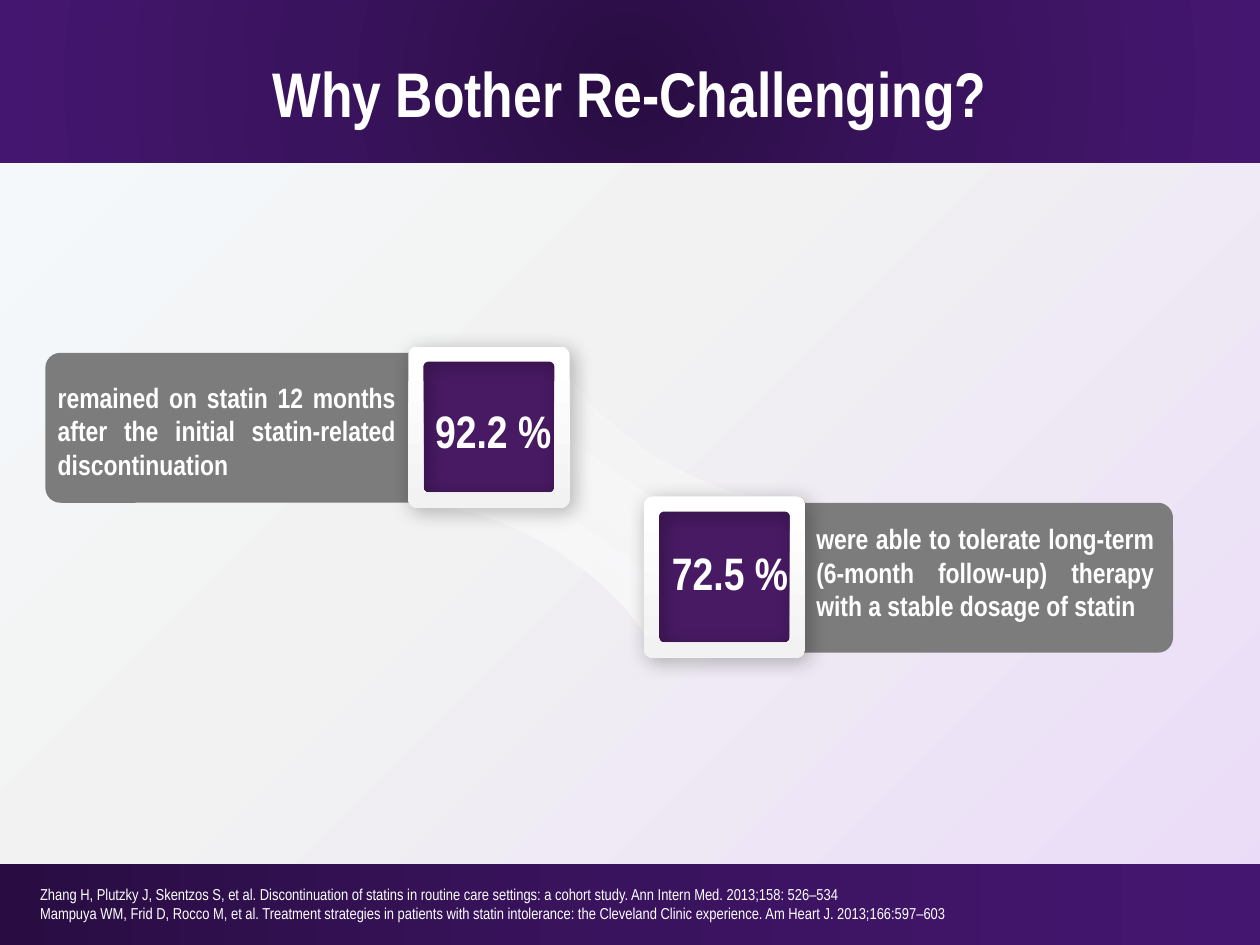
import math

import pptx
import pptx.dml.color
import pptx.enum.shapes
import pptx.enum.text
import pptx.oxml.ns
import pptx.util
from lxml import etree
from pptx.util import Inches

RGBColor = pptx.dml.color.RGBColor
SHAPES = pptx.enum.shapes.MSO_SHAPE
ALIGN = pptx.enum.text.PP_ALIGN
ANCHOR = pptx.enum.text.MSO_ANCHOR
qn = pptx.oxml.ns.qn

FONT = "Arial Narrow"
WHITE = RGBColor(0xFF, 0xFF, 0xFF)
LIGHT = RGBColor(0xF2, 0xF2, 0xF2)
ICE = RGBColor(0xF5, 0xFA, 0xFD)
LILAC = RGBColor(0xEA, 0xDB, 0xF9)
GREY = RGBColor(0x7C, 0x7C, 0x7C)
TILE = RGBColor(0x48, 0x1A, 0x63)
BLACK = RGBColor(0, 0, 0)
BAND_STOPS = [
    (0, RGBColor(0x29, 0x0D, 0x42), 100),
    (50, RGBColor(0x3A, 0x13, 0x5E), 100),
    (100, RGBColor(0x45, 0x16, 0x70), 100),
]


# Formatting helpers
def add_color(parent, color, alpha):
    clr = etree.SubElement(parent, qn("a:srgbClr"), val=str(color))
    if alpha < 100:
        etree.SubElement(clr, qn("a:alpha"), val=str(alpha * 1000))


def set_gradient(fill, element, stops, angle=None):
    """Gradient of (position, color, alpha) stops; circular without an angle."""
    fill.gradient()
    grad = element.find(".//" + qn("a:gradFill"))
    for child in list(grad):
        grad.remove(child)
    stop_list = etree.SubElement(grad, qn("a:gsLst"))
    for position, color, alpha in stops:
        stop = etree.SubElement(stop_list, qn("a:gs"), pos=str(position * 1000))
        add_color(stop, color, alpha)
    if angle is None:
        circle = etree.SubElement(grad, qn("a:path"), {"path": "circle"})
        etree.SubElement(circle, qn("a:fillToRect"),
                         dict.fromkeys("ltrb", "50000"))
    else:
        etree.SubElement(grad, qn("a:lin"), ang=str(angle * 60000), scaled="0")


def make_plain(shape):
    shape.shadow.inherit = False
    shape.line.fill.background()


def add_shadow(shape):
    effects = shape._element.spPr.find(qn("a:effectLst"))
    shadow = etree.SubElement(
        effects, qn("a:outerShdw"), blurRad=str(pptx.util.Pt(12)),
        dist=str(pptx.util.Pt(3)), dir=str(45 * 60000), rotWithShape="0")
    add_color(shadow, BLACK, 29)


def write_text(shape, text, size, align, bold=True, wrap=True):
    frame = shape.text_frame
    frame.text = text
    frame.word_wrap = wrap
    frame.auto_size = pptx.enum.text.MSO_AUTO_SIZE.SHAPE_TO_FIT_TEXT
    for paragraph in frame.paragraphs:
        paragraph.alignment = align
        for run in paragraph.runs:
            run.font.name = FONT
            run.font.size = pptx.util.Pt(size)
            run.font.bold = bold
            run.font.color.rgb = WHITE


def add_text(slide, box, *text_format, **options):
    label = slide.shapes.add_textbox(*map(Inches, box))
    write_text(label, *text_format, **options)


def add_block(shapes, kind, box, color=None):
    block = shapes.add_shape(kind, *map(Inches, box))
    make_plain(block)
    if color is not None:
        block.fill.solid()
        block.fill.fore_color.rgb = color
    return block


# Outlines
def draw_outline(shapes, contours):
    contours = [[(Inches(x), Inches(y)) for x, y in c] for c in contours]
    builder = shapes.build_freeform(*contours[0][0])
    for index, contour in enumerate(contours):
        if index:
            builder.move_to(*contour[0])
        builder.add_line_segments(contour[1:], close=True)
    outline = builder.convert_to_shape()
    make_plain(outline)
    return outline


def rounded_square(left, top, side, radius):
    near, far = radius, side - radius
    centres = [(far, far), (near, far), (near, near), (far, near)]
    points = []
    for corner, (x, y) in enumerate(centres):
        for step in range(7):
            angle = math.radians(90 * corner + 15 * step)
            points.append((left + x + radius * math.cos(angle),
                           top + y + radius * math.sin(angle)))
    return points


def bezier(p0, p1, p2, p3, steps=40):
    def at(t):
        weights = ((1 - t) ** 3, 3 * t * (1 - t) ** 2, 3 * t * t * (1 - t), t ** 3)
        return tuple(sum(w * p[axis] for w, p in zip(weights, (p0, p1, p2, p3)))
                     for axis in (0, 1))
    return [at(step / steps) for step in range(steps + 1)]


# Regions
def add_band(slide, box, angle=None):
    band = add_block(slide.shapes, SHAPES.RECTANGLE, box)
    set_gradient(band.fill, band._element, BAND_STOPS, angle)


def add_title(slide, box, text):
    title = slide.shapes.title
    title.left, title.top, title.width, title.height = map(Inches, box)
    write_text(title, text, 36, ALIGN.CENTER)
    title.text_frame.vertical_anchor = ANCHOR.MIDDLE
    slide.shapes._spTree.append(title._element)  # in front of the band


def add_ribbon(slide, centre, rotation):
    """Translucent link: a curve and its reflection through the centre."""
    cx, cy = centre
    upper = bezier((4.38, 2.76), (4.55, 3.2), (5.3, 3.86), (6.1, 3.96))
    lower = [(2 * cx - x, 2 * cy - y) for x, y in upper]
    cos, sin = (f(math.radians(-rotation)) for f in (math.cos, math.sin))
    level = [(cx + (x - cx) * cos - (y - cy) * sin,
              cy + (x - cx) * sin + (y - cy) * cos) for x, y in upper + lower]
    ribbon = draw_outline(slide.shapes, [level])
    ribbon.rotation = rotation
    set_gradient(ribbon.fill, ribbon._element,
                 [(0, WHITE, 54), (100, LIGHT, 100)], 0)


def add_panel(slide, box):
    panel = add_block(slide.shapes, SHAPES.ROUNDED_RECTANGLE, box, GREY)
    panel.adjustments[0] = 0.1


def add_framed_tile(slide, left, top, side=1.28, border=0.12):
    shapes = slide.shapes.add_group_shape().shapes
    add_block(shapes, SHAPES.RECTANGLE,
              (left + 0.06, top + 0.07, 1.16, 1.16), TILE)
    hole = rounded_square(left + border, top + border, side - 2 * border, 0.04)
    frame = draw_outline(
        shapes, [hole[::-1], rounded_square(left, top, side, 0.07)])
    set_gradient(frame.fill, frame._element,
                 [(8, WHITE, 100), (100, LIGHT, 100)], 90)
    add_shadow(frame)


def main():
    prs = pptx.Presentation()
    prs.slide_width, prs.slide_height = Inches(10), Inches(7.5)
    slide = prs.slides.add_slide(prs.slide_layouts[5])
    set_gradient(slide.background.fill, slide._element,
                 [(0, ICE, 100), (43, LIGHT, 100), (100, LILAC, 100)], 45)

    # Bands, title and references
    add_band(slide, (-0.01, 6.86, 10.02, 0.64), 0)
    add_band(slide, (-0.01, 0, 10.02, 1.29))
    add_title(slide, (0.06, 0.38, 9.88, 0.71), "Why Bother Re-Challenging?")
    references = (
        "Zhang H, Plutzky J, Skentzos S, et al. Discontinuation of statins in "
        "routine care settings: a cohort study. Ann Intern Med. 2013;158: 526–534\n"
        "Mampuya WM, Frid D, Rocco M, et al. Treatment strategies in patients "
        "with statin intolerance: the Cleveland Clinic experience. "
        "Am Heart J. 2013;166:597–603")
    add_text(slide, (0.22, 6.97, 8.1, 0.4), references, 9, ALIGN.LEFT, bold=False)

    # Findings: panels, link, framed tiles, then their words
    add_panel(slide, (5.94, 3.99, 3.37, 1.19))
    add_panel(slide, (0.36, 2.8, 3.39, 1.19))
    add_ribbon(slide, (4.8, 3.99), 305)
    add_framed_tile(slide, 3.24, 2.75)
    add_framed_tile(slide, 5.11, 3.94)
    findings = [
        ("92.2 %", (3.35, 3.15), (0.36, 2.97),
         "remained on statin 12 months after the initial statin-related "
         "discontinuation"),
        ("72.5 %", (5.23, 4.28), (6.38, 4.09),
         "were able to tolerate long-term (6-month follow-up) therapy with a "
         "stable dosage of statin"),
    ]
    for share, share_at, outcome_at, outcome in findings:
        add_text(slide, (*outcome_at, 2.88, 0.91), outcome, 16, ALIGN.JUSTIFY)
        add_text(slide, (*share_at, 1.13, 0.54), share, 26, ALIGN.CENTER, wrap=False)
    prs.save("out.pptx")


if __name__ == "__main__":
    main()
